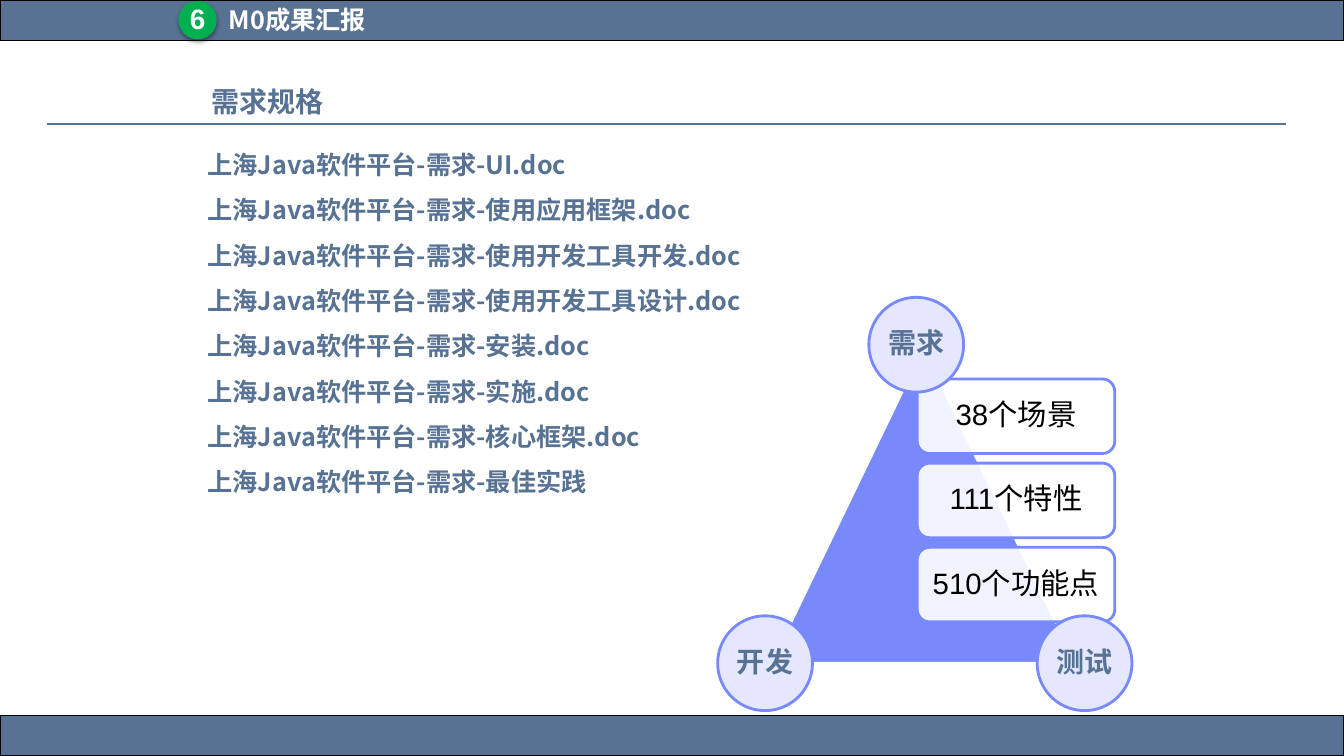
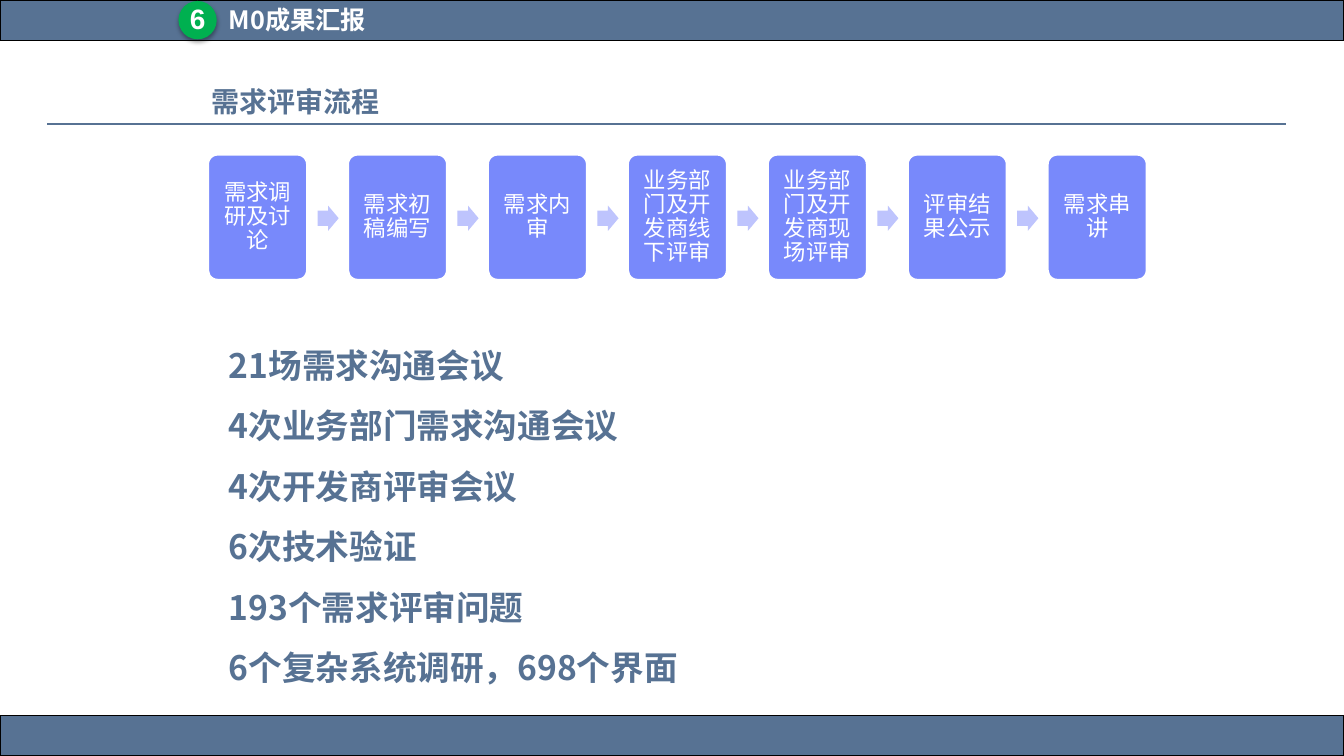
"""Build two slides on requirement deliverables and the requirement review process."""
from lxml.etree import SubElement
from pptx import Presentation
from pptx.dml.color import RGBColor
from pptx.enum.shapes import MSO_CONNECTOR, MSO_SHAPE
from pptx.enum.text import MSO_ANCHOR, MSO_AUTO_SIZE, PP_ALIGN
from pptx.oxml.ns import qn
from pptx.util import Inches, Pt

RECT, ROUNDED = MSO_SHAPE.RECTANGLE, MSO_SHAPE.ROUNDED_RECTANGLE
OVAL, TRIANGLE, ARROW = MSO_SHAPE.OVAL, MSO_SHAPE.ISOSCELES_TRIANGLE, MSO_SHAPE.RIGHT_ARROW
STRAIGHT = MSO_CONNECTOR.STRAIGHT
TOP, MIDDLE, BOTTOM = MSO_ANCHOR.TOP, MSO_ANCHOR.MIDDLE, MSO_ANCHOR.BOTTOM
LEFT, CENTER = PP_ALIGN.LEFT, PP_ALIGN.CENTER
GROW = MSO_AUTO_SIZE.SHAPE_TO_FIT_TEXT

COLUMNS, ROWS, CELLS_PER_INCH = 160, 90, 12
STEEL, INDIGO, LAVENDER, PALE = "577293", "7889FB", "BEC4FD", "E4E7FE"
GREEN, WHITE, BLACK = "00B050", "FFFFFF", "000000"
SANS, CJK = "Arial", "Noto Sans CJK SC"


def cells(count):
    """Turn grid cells into a length."""
    return Inches(count / CELLS_PER_INCH)


def rgb(value):
    """Turn a hex string into a colour."""
    return RGBColor.from_string(value)


class Deck:
    """Hold the shared style and the current slide."""

    def __init__(self):
        """Start a presentation sized to the grid."""
        self.prs = Presentation()
        self.prs.slide_width = cells(COLUMNS)
        self.prs.slide_height = cells(ROWS)
        self.slide = None

    def new_slide(self, heading):
        """Add a slide with bands, rule, heading and section mark."""
        self.slide = self.prs.slides.add_slide(self.prs.slide_layouts[6])
        for top in (85.2, 0):
            self.shape(RECT, (0, top, COLUMNS, 4.8), STEEL, (BLACK, 1))
        self.rule(5.64, 153.12, 14.76)
        self.text((25.2, 6.24, 109.56, 8.52), [heading], 20, STEEL, font=SANS,
                  spacing=0.9, anchor=BOTTOM, insets=(0, 0.6))
        badge = self.shape(OVAL, (21.24, 0.12, 4.56, 4.56), GREEN)
        self.drop_shadow(badge)
        self.fill_text(badge, ["6"], 20, WHITE, bold=True)
        self.text((26.04, 0.36, 24.24, 4.44), ["M0成果汇报"], 18, WHITE, spacing=0.9)

    def shape(self, preset, box, fill, line=None, adjust=(), opacity=100):
        """Add a filled preset shape."""
        shape = self.slide.shapes.add_shape(preset, *map(cells, box))
        shape.shadow.inherit = False
        for index, value in enumerate(adjust):
            shape.adjustments[index] = value
        shape.fill.solid()
        shape.fill.fore_color.rgb = rgb(fill)
        if opacity < 100:
            color = shape.element.spPr.find(qn("a:solidFill"))[0]
            SubElement(color, qn("a:alpha"), val=str(opacity * 1000))
        if line:
            shape.line.color.rgb = rgb(line[0])
            shape.line.width = Pt(line[1])
        else:
            shape.line.fill.background()
        return shape

    def drop_shadow(self, shape):
        """Give a shape a soft shadow below it."""
        effects = shape.element.spPr.find(qn("a:effectLst"))
        shadow = SubElement(effects, qn("a:outerShdw"), blurRad=str(Pt(3.1)),
                            dist=str(Pt(1.8)), dir="5400000", rotWithShape="0")
        color = SubElement(shadow, qn("a:srgbClr"), val=BLACK)
        SubElement(color, qn("a:alpha"), val="35000")

    def rule(self, start, end, row):
        """Draw a horizontal rule."""
        line = self.slide.shapes.add_connector(
            STRAIGHT, cells(start), cells(row), cells(end), cells(row))
        line.line.color.rgb = rgb(STEEL)
        line.line.width = Pt(1.5)
        SubElement(line._element.spPr, qn("a:effectLst"))

    def text(self, box, lines, size, color, font=CJK, spacing=1.5, anchor=TOP,
             insets=(1.2, 0.6)):
        """Add a bold, left-aligned text box."""
        holder = self.slide.shapes.add_textbox(*map(cells, box))
        self.fill_text(holder, lines, size, color, font, True, LEFT, spacing, anchor, insets)
        if anchor == TOP:
            holder.text_frame.auto_size = GROW

    def fill_text(self, holder, lines, size, color, font=SANS, bold=False, align=CENTER,
                  spacing=0.9, anchor=MIDDLE, insets=(0, 0)):
        """Put one paragraph per line into a shape."""
        frame = holder.text_frame
        frame.word_wrap = True
        frame.vertical_anchor = anchor
        frame.margin_left = frame.margin_right = cells(insets[0])
        frame.margin_top = frame.margin_bottom = cells(insets[1])
        for index, line in enumerate(lines):
            paragraph = frame.add_paragraph() if index else frame.paragraphs[0]
            paragraph.alignment = align
            paragraph.line_spacing = spacing
            run = paragraph.add_run()
            run.text = line
            run.font.size = Pt(size)
            run.font.bold = bold
            run.font.color.rgb = rgb(color)
            run.font.name = font
            SubElement(run._r.get_or_add_rPr(), qn("a:ea"), typeface=CJK)

    def card(self, box, label):
        """Add a translucent figure card."""
        card = self.shape(ROUNDED, box, WHITE, (INDIGO, 2), opacity=90)
        self.fill_text(card, [label], 21, BLACK, insets=(1.08, 1.08))

    def node(self, left, top, label):
        """Add a round corner label."""
        node = self.shape(OVAL, (left, top, 11.28, 11.28), PALE, (INDIGO, 2))
        self.fill_text(node, [label], 20, STEEL, bold=True)

    def process(self, steps, left, top, pitch):
        """Add a row of steps joined by arrows."""
        for index, label in enumerate(steps):
            x = left + index * pitch
            if index:
                self.shape(ARROW, (x - 3.58, top + 6.12, 2.52, 3), LAVENDER,
                           adjust=(0.6, 0.5))
            step = self.shape(ROUNDED, (x, top, 11.88, 15), INDIGO, (WHITE, 2), (0.1,))
            self.fill_text(step, [label], 16, WHITE, insets=(0.84, 0.84))


deck = Deck()

deck.new_slide("需求规格")
documents = ["UI.doc", "使用应用框架.doc", "使用开发工具开发.doc", "使用开发工具设计.doc",
             "安装.doc", "实施.doc", "核心框架.doc", "最佳实践"]
deck.text((23.52, 15.36, 96.48, 44.88),
          [f"上海Java软件平台-需求-{document}" for document in documents], 18, STEEL)
deck.shape(TRIANGLE, (91.8, 41.4, 36.24, 37.56), INDIGO, (WHITE, 2))
for order, figure in enumerate(["38个场景", "111个特性", "510个功能点"]):
    deck.card((109.2, 45.12 + order * 10.02, 23.52, 8.88), figure)
for left, top, role in [(103.44, 35.4, "需求"), (85.44, 73.32, "开发"),
                        (123.48, 73.32, "测试")]:
    deck.node(left, top, role)

deck.new_slide("需求评审流程")
deck.process(["需求调研及讨论", "需求初稿编写", "需求内审", "业务部门及开发商线下评审",
              "业务部门及开发商现场评审", "评审结果公示", "需求串讲"], 24.72, 18.36, 16.66)
deck.text((26.04, 38.04, 62.52, 44.88),
          ["21场需求沟通会议", "4次业务部门需求沟通会议", "4次开发商评审会议",
           "6次技术验证", "193个需求评审问题", "6个复杂系统调研，698个界面"], 24, STEEL)

deck.prs.save("out.pptx")
